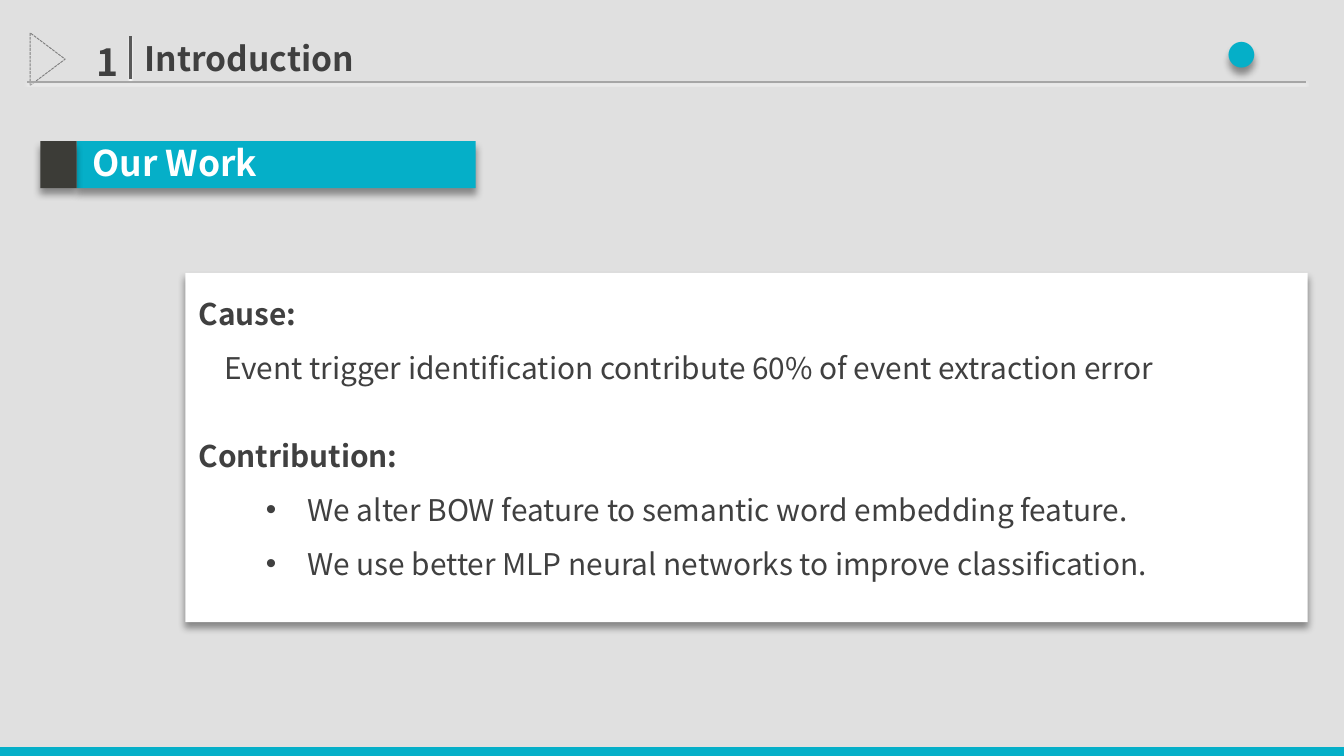
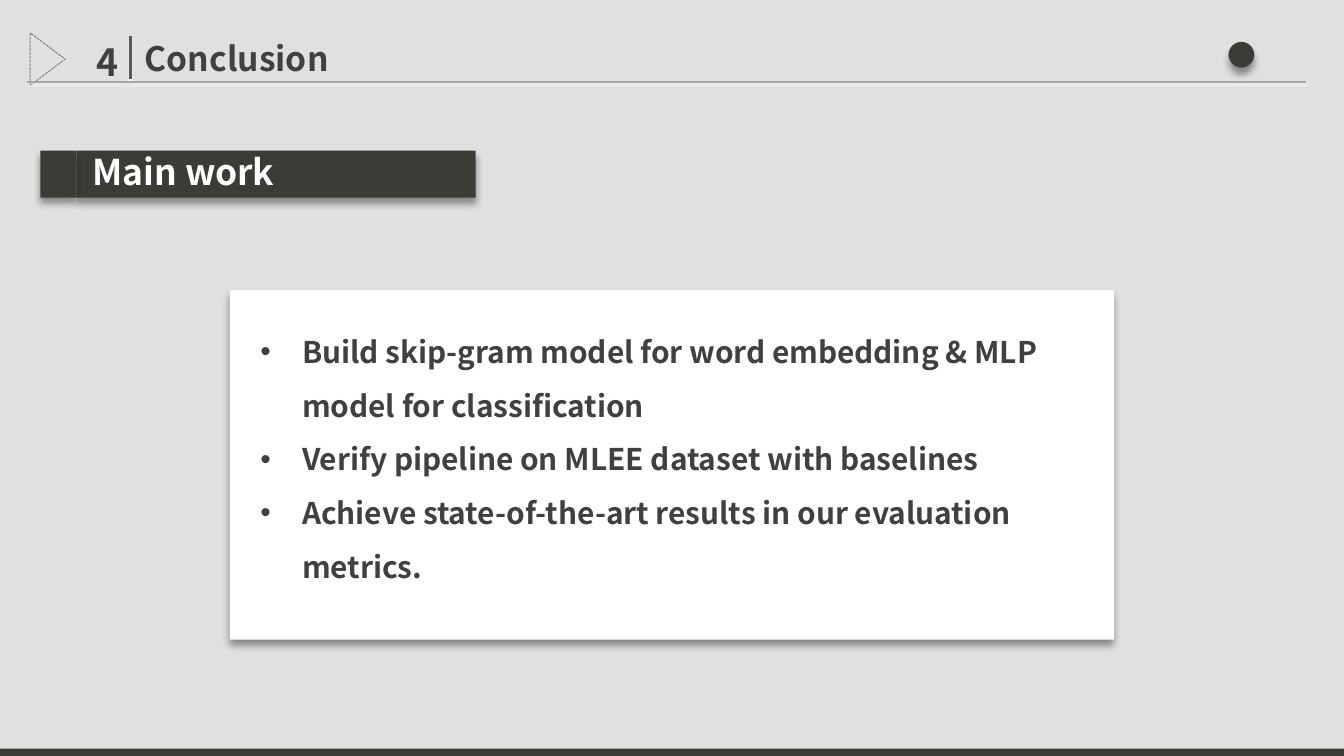
from lxml import etree
from pptx import Presentation
from pptx.dml.color import RGBColor
from pptx.enum.dml import MSO_LINE
from pptx.enum.shapes import MSO_CONNECTOR, MSO_SHAPE
from pptx.enum.text import MSO_AUTO_SIZE as AUTO, PP_ALIGN as AL
from pptx.oxml.ns import qn
from pptx.util import Inches, Pt

FONT = "Noto Sans CJK SC"
TEAL, DARK, WHITE, INK = "05AFC8", "3C3C37", "FFFFFF", "404040"
# Shadow: colour, opacity %, blur pt, distance pt (straight down)
DROP = ("000000", 40, 4, 3)
GLINT = ("FFFFFF", 100, 1, 1)


def rgb(value):
    return RGBColor.from_string(value)


def add_shadow(sp, shadow=None):
    """Replace the theme shadow with the given one, or with none."""
    effects = etree.SubElement(sp.element.spPr, qn("a:effectLst"))
    if shadow:
        color, opacity, blur, dist = shadow
        outer = etree.SubElement(effects, qn("a:outerShdw"), blurRad=str(Pt(blur)),
                                 dist=str(Pt(dist)), dir="5400000",
                                 algn="t", rotWithShape="0")
        clr = etree.SubElement(outer, qn("a:srgbClr"), val=color)
        etree.SubElement(clr, qn("a:alpha"), val=str(opacity * 1000))


def write(p, text, size=16, color=INK, bold=True, align=None, spacing=None,
          before=None, left=0, bullet=False):
    """Fill one paragraph with formatted text."""
    r = p.add_run()
    r.text = text
    f = r.font
    f.name, f.size, f.bold = FONT, Pt(size), bold
    f.color.rgb = rgb(color)
    p.alignment, p.line_spacing = align, spacing
    if before:
        p.space_before = Pt(before)
    pPr = p._p.get_or_add_pPr()
    etree.SubElement(r._r.get_or_add_rPr(), qn("a:ea"), typeface=FONT)
    if left:
        pPr.set("marL", str(Inches(left)))
    if bullet:
        pPr.set("indent", str(Inches(-0.31)))
        etree.SubElement(pPr, qn("a:buFont"), typeface="Arial")
        etree.SubElement(pPr, qn("a:buChar"), char="•")


class Deck:
    def __init__(self):
        self.prs = Presentation()
        self.prs.slide_width, self.prs.slide_height = Inches(10), Inches(5.625)

    def shape(self, x, y, w, h, fill=None, alpha=None, shadow=None,
              kind=MSO_SHAPE.RECTANGLE):
        sp = self.s.shapes.add_shape(kind, Inches(x), Inches(y), Inches(w), Inches(h))
        if fill:
            sp.fill.solid()
            sp.fill.fore_color.rgb = rgb(fill)
        else:
            sp.fill.background()
        if alpha:
            clr = sp.element.spPr.find(".//" + qn("a:srgbClr"))
            etree.SubElement(clr, qn("a:alpha"), val=str(alpha * 1000))
        sp.line.fill.background()
        add_shadow(sp, shadow)
        return sp

    def line(self, x1, y1, x2, y2, color, width):
        ln = self.s.shapes.add_connector(MSO_CONNECTOR.STRAIGHT, Inches(x1), Inches(y1),
                                         Inches(x2), Inches(y2))
        ln.line.color.rgb, ln.line.width = rgb(color), Pt(width)
        add_shadow(ln, GLINT)

    def text(self, x, y, w, h, *paragraphs, shadow=None, **style):
        """Each paragraph is a (text, format) pair; style applies to all."""
        sp = self.s.shapes.add_textbox(Inches(x), Inches(y), Inches(w), Inches(h))
        tf = sp.text_frame
        tf.word_wrap, tf.auto_size = True, AUTO.SHAPE_TO_FIT_TEXT
        for i, (text, own) in enumerate(paragraphs):
            p = tf.add_paragraph() if i else tf.paragraphs[0]
            write(p, text, **{**style, **own})
        if shadow:
            add_shadow(sp, shadow)

    def new_slide(self, number, title, accent, bar_y):
        self.s = self.prs.slides.add_slide(self.prs.slide_layouts[6])
        self.shape(0, 0, 10, 5.72, "000000", alpha=12)
        # Section number, divider, title and accent dot
        self.line(0.97, 0.59, 0.97, 0.27, "595959", 1.5)
        self.text(0.12, 0.24, 0.86, 0.44, (number, {}), size=20, align=AL.RIGHT)
        self.text(0.98, 0.23, 3.31, 0.4, (title, {}), size=18)
        self.text(8.23, -0.1, 1.65, 1.01, ("· ", {}), size=54, color=accent,
                  align=AL.RIGHT, shadow=DROP)
        # Dashed triangle and header rule
        tri = self.shape(0.16, 0.31, 0.39, 0.26, kind=MSO_SHAPE.FLOWCHART_MERGE)
        tri.rotation = 270
        tri.line.color.rgb, tri.line.width = rgb("808080"), Pt(0.5)
        tri.line.dash_style = MSO_LINE.SQUARE_DOT
        self.line(0.2, 0.61, 9.72, 0.61, "A6A6A6", 0.75)
        # Footer bar
        self.shape(0, bar_y, 10, 0.16, accent)

    def heading(self, y, text, accent):
        self.shape(0.57, y, 2.97, 0.35, accent, shadow=DROP)
        self.shape(0.3, y, 0.27, 0.35, DARK, shadow=DROP)
        self.text(0.59, y - 0.05, 2.68, 0.42, (text, {}), size=19, color=WHITE)

    def card(self, x, y, w, h):
        self.shape(x, y, w, h, WHITE, shadow=DROP)


def main():
    deck = Deck()

    # Introduction
    deck.new_slide("1", "Introduction", TEAL, 5.56)
    deck.card(1.38, 2.03, 8.35, 2.6)
    point = dict(bold=False, left=0.81, bullet=True)
    deck.text(1.38, 2.02, 8.35, 2.8,
              ("Cause:", {}),
              ("Event trigger identification contribute 60% of event extraction error",
               dict(bold=False, left=0.19)),
              ("Contribution:", dict(before=18.5)),
              ("We alter BOW feature to semantic word embedding feature.", point),
              ("We use better MLP neural networks to improve classification.", point),
              spacing=1.5)
    deck.heading(1.05, "Our Work", TEAL)

    # Conclusion
    deck.new_slide("4", "Conclusion", DARK, 5.57)
    deck.card(1.71, 2.16, 6.58, 2.6)
    deck.text(1.84, 2.3, 6.36, 2.52,
              ("Build skip-gram model for word embedding & MLP model for classification", {}),
              ("Verify pipeline on MLEE dataset with baselines", {}),
              ("Achieve state-of-the-art results in our evaluation metrics.", {}),
              spacing=1.5, left=0.31, bullet=True)
    deck.heading(1.12, "Main work", DARK)

    deck.prs.save("out.pptx")


if __name__ == "__main__":
    main()
